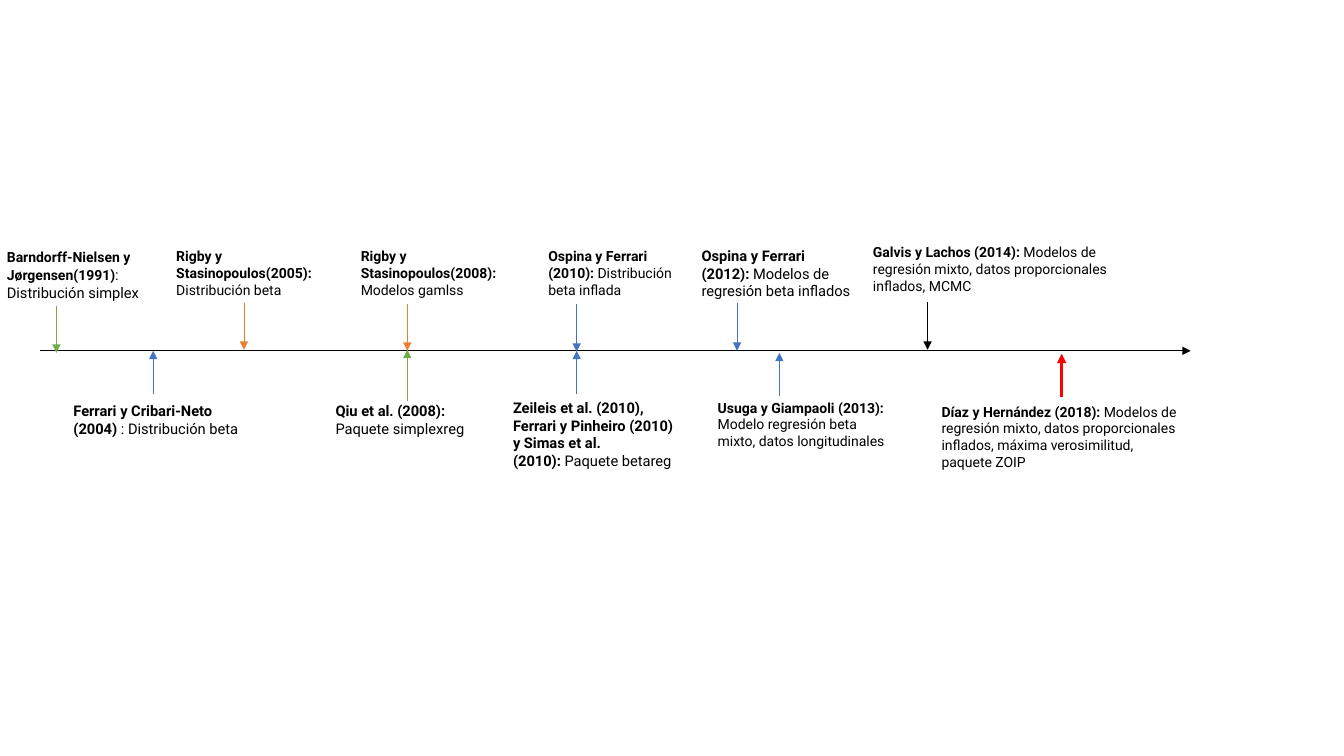
"""Timeline of regression models for proportions."""
from lxml.etree import SubElement
from pptx import Presentation
from pptx.dml.color import RGBColor
from pptx.enum.shapes import MSO_CONNECTOR
from pptx.enum.text import MSO_AUTO_SIZE
from pptx.oxml.ns import qn
from pptx.util import Inches, Pt

BLACK = RGBColor(0, 0, 0)
BLUE = RGBColor(0x44, 0x72, 0xC4)
ORANGE = RGBColor(0xED, 0x7D, 0x31)
GREEN = RGBColor(0x70, 0xAD, 0x47)
RED = RGBColor(0xFF, 0, 0)
FONT = "Roboto"
INSET = 0.05
AXIS = (0.4, 3.48, 11.81, 3.48)

# Fields: authors, topic, (left, top, width), lines, (author size, topic size)
MILESTONES = [
    ("Barndorff-Nielsen y Jørgensen(1991)", ": Distribución simplex",
     (-0.03, 2.42, 1.86), 3, (10, 10.5)),
    ("Ferrari y Cribari-Neto (2004) ", ": Distribución beta",
     (0.63, 3.94, 1.86), 3, (10.5, 10.5)),
    ("Rigby y Stasinopoulos(2005): ", "Distribución beta",
     (1.65, 2.41, 1.86), 3, (10, 10)),
    ("Rigby y Stasinopoulos(2008): ", "Modelos gamlss",
     (3.48, 2.41, 1.86), 3, (10, 10)),
    ("Qiu et al. (2008): ", "Paquete simplexreg",
     (3.23, 3.94, 1.6), 2, (10.5, 10.5)),
    ("Ospina y Ferrari (2010): ", "Distribución beta inflada",
     (5.34, 2.41, 1.52), 3, (10, 10)),
    ("Zeileis et al. (2010), Ferrari y Pinheiro (2010) y Simas et al.\n(2010):",
     " Paquete betareg", (4.99, 3.91, 1.86), 4, (10.5, 10.5)),
    ("Ospina y Ferrari (2012): ", "Modelos de regresión beta inflados",
     (6.86, 2.4, 1.7), 3, (10.5, 10.5)),
    ("Usuga y Giampaoli (2013): ",
     "Modelo regresión beta mixto, datos longitudinales",
     (7.02, 3.91, 1.86), 4, (10, 10)),
    ("Galvis y Lachos (2014): ",
     "Modelos de regresión mixto, datos proporcionales inflados, MCMC",
     (8.56, 2.37, 2.59), 3, (10, 10)),
    ("Díaz y Hernández (2018): ",
     "Modelos de regresión mixto, datos proporcionales inflados, "
     "máxima verosimilitud, paquete ZOIP",
     (9.24, 3.95, 2.59), 4, (10, 10)),
]

ARROWS = [
    (0.56, 3.04, 3.5, GREEN, 0.5),
    (1.52, 3.91, 3.48, BLUE, 0.5),
    (2.42, 3.01, 3.47, ORANGE, 0.5),
    (4.04, 3.98, 3.47, GREEN, 0.5),
    (4.04, 3.02, 3.48, ORANGE, 0.5),
    (5.72, 3.02, 3.49, BLUE, 0.5),
    (5.72, 3.91, 3.48, BLUE, 0.5),
    (7.31, 3.01, 3.48, BLUE, 0.5),
    (7.73, 3.93, 3.5, BLUE, 0.5),
    (9.2, 3, 3.47, BLACK, 0.5),
    (10.53, 3.94, 3.51, RED, 2.25),
]


def add_text(p, text, size=10, bold=False, color=BLACK):
    r = p.add_run()
    r.text = text
    r.font.name = FONT
    r.font.size = Pt(size)
    r.font.bold = bold
    r.font.color.rgb = color


def add_arrow(s, x1, y1, x2, y2, color=BLACK, width=0.5):
    sp = s.shapes.add_connector(MSO_CONNECTOR.STRAIGHT, Inches(x1), Inches(y1),
                                Inches(x2), Inches(y2))
    sp.line.color.rgb = color
    sp.line.width = Pt(width)
    SubElement(sp.line._get_or_add_ln(), qn("a:tailEnd"), type="triangle")
    SubElement(sp._element.spPr, qn("a:effectLst"))


def add_milestone(s, authors, topic, place, lines, sizes):
    left, top, width = place
    height = 2 * INSET + lines * 1.2 * max(sizes) / 72
    sp = s.shapes.add_textbox(Inches(left), Inches(top), Inches(width), Inches(height))
    tf = sp.text_frame
    tf.word_wrap = True
    tf.auto_size = MSO_AUTO_SIZE.SHAPE_TO_FIT_TEXT
    p = tf.paragraphs[0]
    for i, part in enumerate(authors.split("\n")):
        if i:
            p = tf.add_paragraph()
        add_text(p, part, size=sizes[0], bold=True)
    add_text(p, topic, size=sizes[1])


prs = Presentation()
prs.slide_width, prs.slide_height = Inches(13.33), Inches(7.5)
s = prs.slides.add_slide(prs.slide_layouts[6])
add_arrow(s, *AXIS)
for x, start, tip, color, width in ARROWS:
    add_arrow(s, x, start, x, tip, color=color, width=width)
for milestone in MILESTONES:
    add_milestone(s, *milestone)
prs.save("out.pptx")
